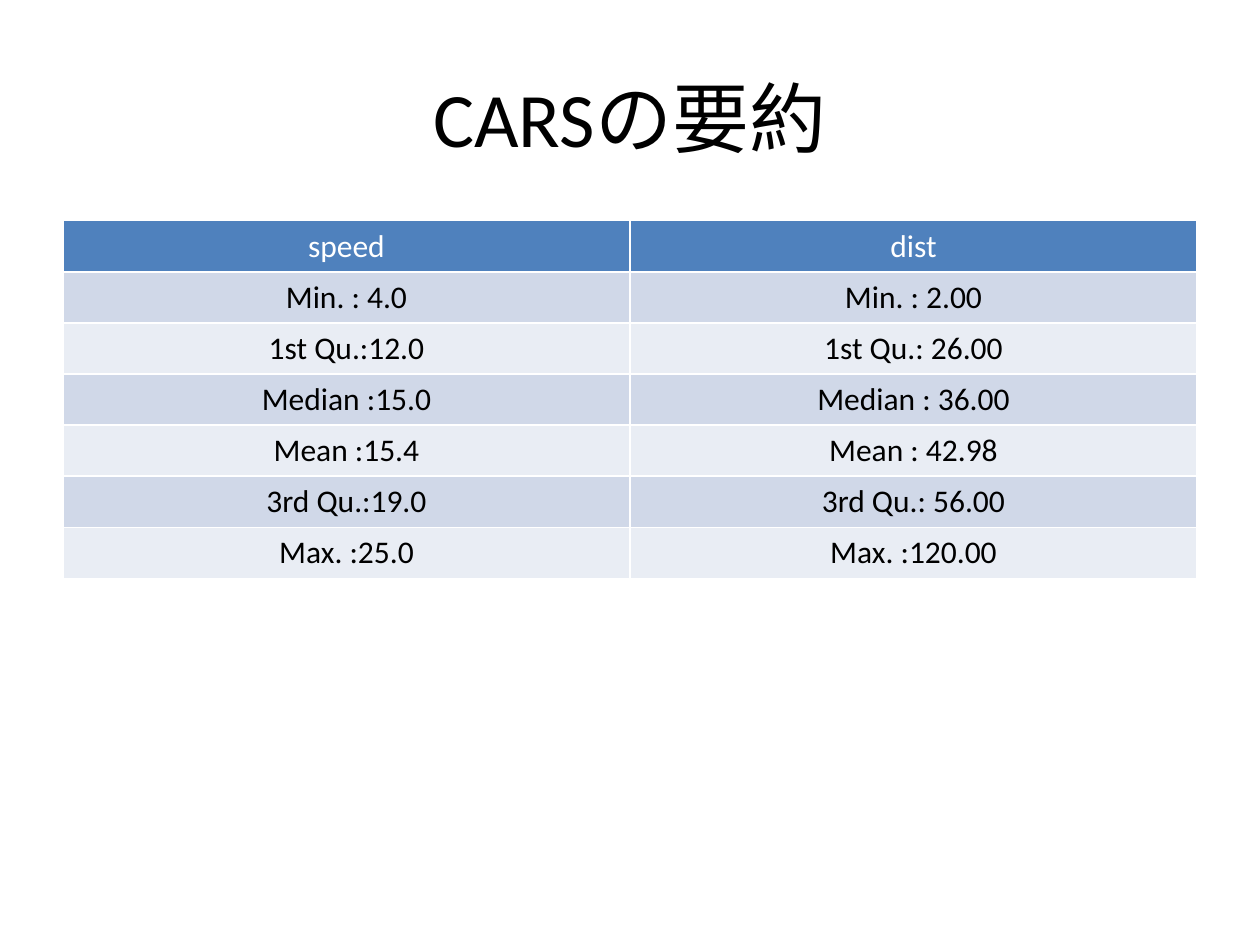
from lxml import etree
from pptx import Presentation
from pptx.dml.color import RGBColor
from pptx.enum.text import MSO_ANCHOR, PP_ALIGN
from pptx.oxml.ns import qn
from pptx.util import Cm, Pt

CENTER = PP_ALIGN.CENTER
MIDDLE = MSO_ANCHOR.MIDDLE
FONT = "Calibri"
WHITE, BLACK = "FFFFFF", "000000"
HEAD = "4F81BD"
BANDS = ("E9EDF4", "D0D8E8")
LEFT, WIDTH = Cm(1.27), Cm(22.86)
ROW = Cm(1.03)
STATS = [
    ("speed", "dist"),
    ("Min. : 4.0", "Min. : 2.00"),
    ("1st Qu.:12.0", "1st Qu.: 26.00"),
    ("Median :15.0", "Median : 36.00"),
    ("Mean :15.4", "Mean : 42.98"),
    ("3rd Qu.:19.0", "3rd Qu.: 56.00"),
    ("Max. :25.0", "Max. :120.00"),
]


def color(code):
    return RGBColor.from_string(code)


def write(frame, text, size, code):
    para = frame.paragraphs[0]
    para.alignment = CENTER
    run = para.add_run()
    run.text = text
    font = run.font
    font.name, font.size, font.bold = FONT, Pt(size), False
    font.color.rgb = color(code)


def add_title(slide, text):
    title = slide.shapes.title
    title.left, title.top = LEFT, Cm(0.76)
    title.width, title.height = WIDTH, Cm(3.18)
    title.text_frame.vertical_anchor = MIDDLE
    write(title.text_frame, text, 44, BLACK)


def edge(cell, code, width):
    """Draw a line on all four sides; call before the cell is filled."""
    props = cell._tc.get_or_add_tcPr()
    for side in ("lnL", "lnR", "lnT", "lnB"):
        line = etree.SubElement(props, qn(f"a:{side}"), w=str(Pt(width)))
        fill = etree.SubElement(line, qn("a:solidFill"))
        etree.SubElement(fill, qn("a:srgbClr"), val=code)


def add_table(slide, data):
    rows, cols = len(data), len(data[0])
    frame = slide.shapes.add_table(
        rows, cols, LEFT, Cm(4.45), WIDTH, ROW * rows)
    table = frame.table
    for r, texts in enumerate(data):
        table.rows[r].height = ROW
        for c, text in enumerate(texts):
            cell = table.cell(r, c)
            edge(cell, WHITE, 1)
            cell.fill.solid()
            cell.fill.fore_color.rgb = color(BANDS[r % 2] if r else HEAD)
            write(cell.text_frame, text, 18, BLACK if r else WHITE)


def main():
    deck = Presentation()
    deck.slide_width, deck.slide_height = Cm(25.4), Cm(19.05)
    slide = deck.slides.add_slide(deck.slide_layouts[5])
    add_title(slide, "CARSの要約")
    add_table(slide, STATS)
    deck.save("out.pptx")


if __name__ == "__main__":
    main()
